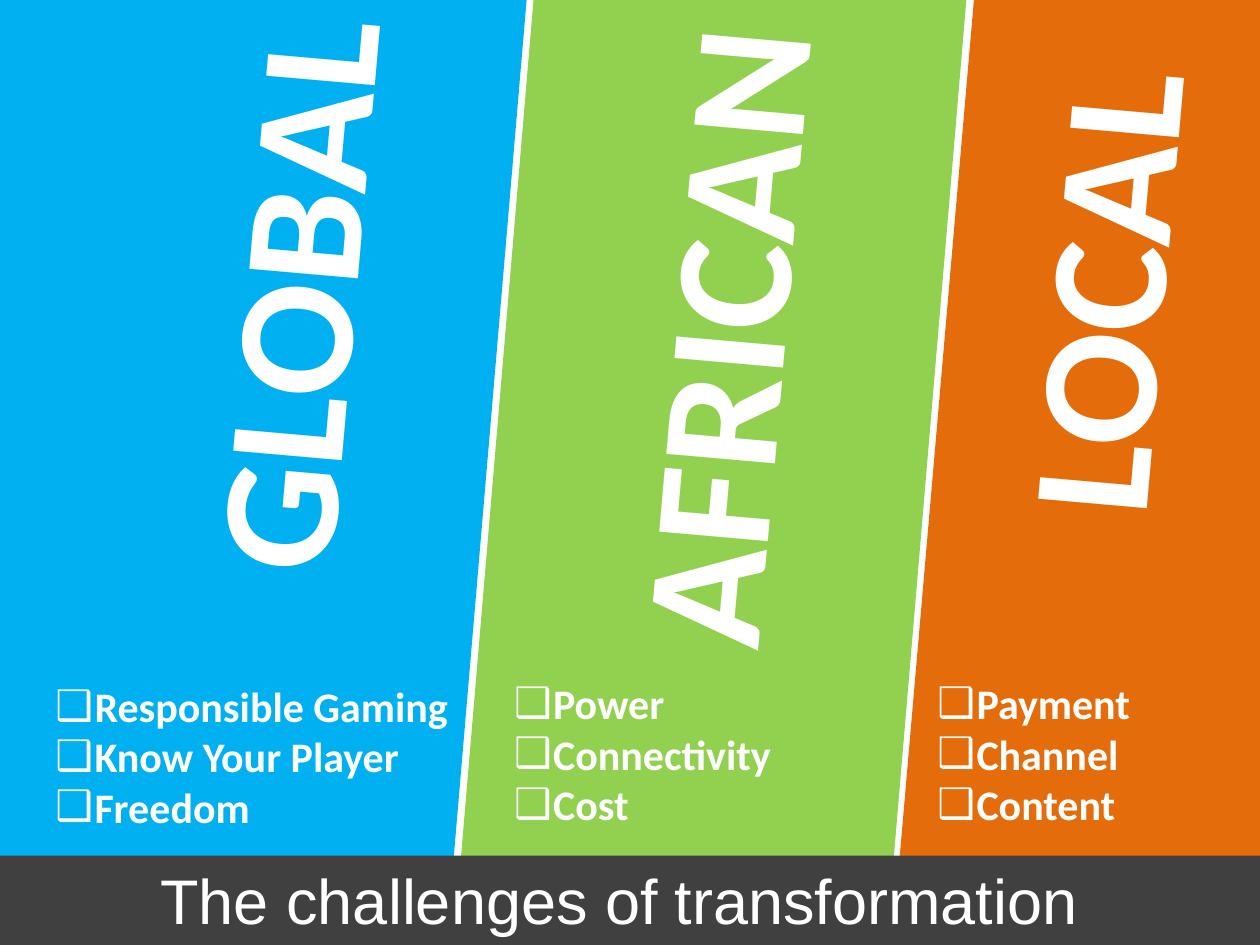
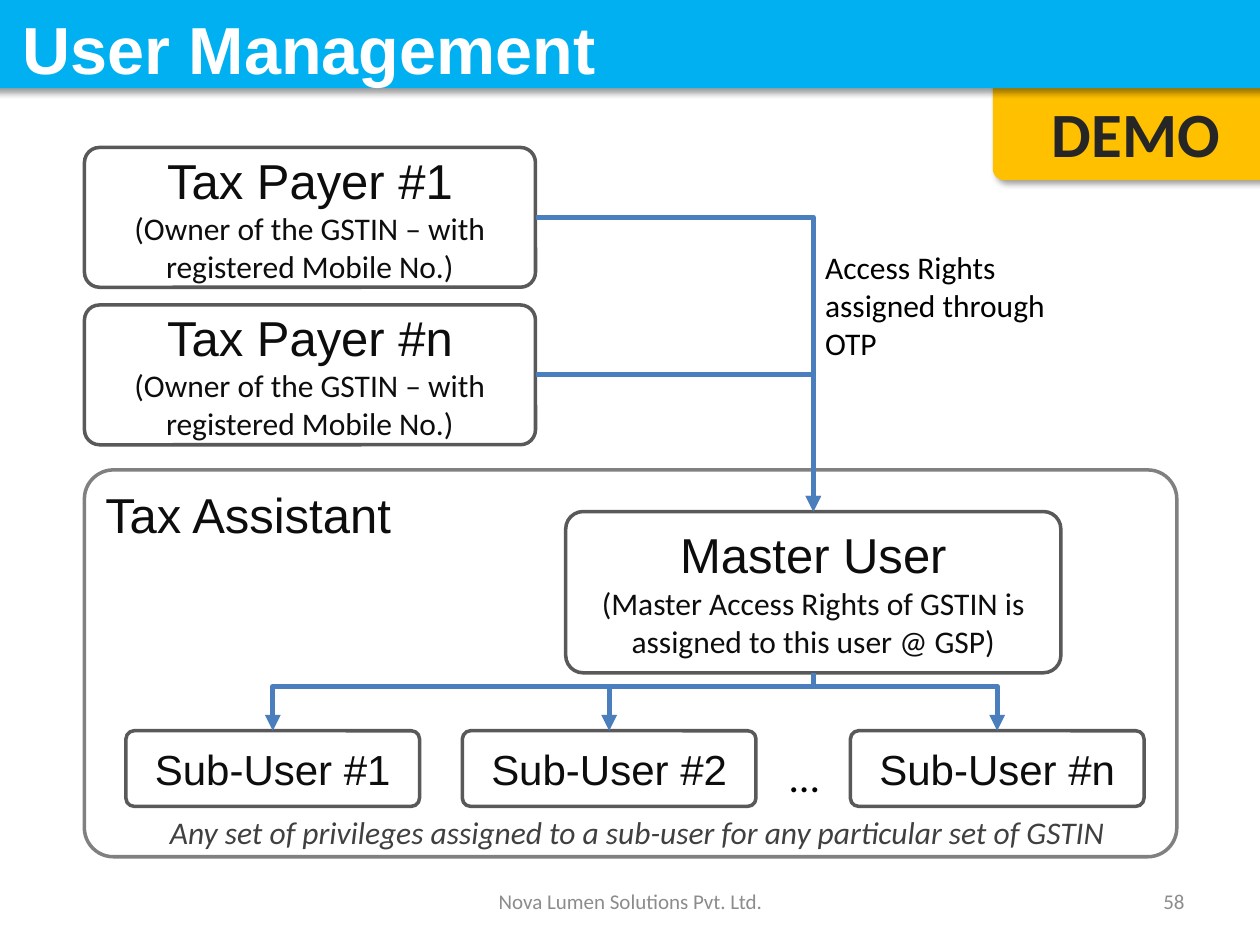
from lxml.etree import SubElement
from pptx import Presentation
from pptx.dml.color import RGBColor
from pptx.enum.shapes import MSO_CONNECTOR, MSO_SHAPE
from pptx.enum.text import MSO_ANCHOR, MSO_AUTO_SIZE, PP_ALIGN
from pptx.oxml.ns import qn
from pptx.util import Inches, Pt

BLUE = RGBColor(0x00, 0xB0, 0xF0)
GREEN = RGBColor(0x92, 0xD0, 0x50)
ORANGE = RGBColor(0xE4, 0x6C, 0x0A)
AMBER = RGBColor(0xFF, 0xC0, 0x00)
WHITE = RGBColor(0xFF, 0xFF, 0xFF)
BLACK = RGBColor(0x00, 0x00, 0x00)
INK = RGBColor(0x0D, 0x0D, 0x0D)
CHARCOAL = RGBColor(0x26, 0x26, 0x26)
DARK = RGBColor(0x40, 0x40, 0x40)
BORDER = RGBColor(0x59, 0x59, 0x59)
FRAME = RGBColor(0x80, 0x80, 0x80)
MUTED = RGBColor(0x8C, 0x8C, 0x8C)
LINK = RGBColor(0x4B, 0x7E, 0xBC)

HEADING, BODY = "Arial", "Calibri"
CORNER = 0.108
COMPARISON, TITLE_ONLY = 4, 5


class Painter:
    """Holds the deck style and draws each kind of element on the current page."""

    def __init__(self):
        self.deck = Presentation()
        self.deck.slide_width, self.deck.slide_height = Inches(10), Inches(7.5)
        self.page = None

    def new_page(self, layout):
        self.page = self.deck.slides.add_slide(self.deck.slide_layouts[layout])

    def fill_text(self, frame, lines, color, align=PP_ALIGN.LEFT, anchor=MSO_ANCHOR.TOP,
                  bold=False, italic=False, wrap=True, bullet=None):
        frame.text = "\n".join(text for text, size, font in lines)
        frame.word_wrap = wrap
        frame.auto_size = MSO_AUTO_SIZE.NONE
        frame.vertical_anchor = anchor
        for para, (text, size, font) in zip(frame.paragraphs, lines):
            para.alignment = align
            para.space_before = Pt(0)
            if bullet:
                properties = para._p.get_or_add_pPr()
                properties.set("marL", str(Inches(0.31)))
                properties.set("indent", str(-Inches(0.31)))
                SubElement(properties, qn("a:buChar"), char=bullet)
            for span in para.runs:
                span.font.name, span.font.size = font, Pt(size)
                span.font.bold, span.font.italic = bold, italic
                span.font.color.rgb = color

    def place(self, box, area):
        box.left, box.top, box.width, box.height = [Inches(side) for side in area]

    def placeholder(self, box, area, lines, color, **style):
        self.place(box, area)
        box.element.getparent().append(box.element)
        self.fill_text(box.text_frame, lines, color, **style)

    def title(self, text, area, size, **style):
        self.placeholder(self.page.shapes.title, area, [(text, size, HEADING)], WHITE, **style)

    def text(self, area, lines, color, rotation=0, **style):
        box = self.page.shapes.add_textbox(*[Inches(side) for side in area])
        box.rotation = rotation
        self.fill_text(box.text_frame, lines, color, **style)

    def shape(self, kind, area, fill, adjust=None, line=None, shadow_angle=None):
        shape = self.page.shapes.add_shape(kind, *[Inches(side) for side in area])
        if adjust is not None:
            shape.adjustments[0] = adjust
        shape.fill.solid()
        shape.fill.fore_color.rgb = fill
        if line is None:
            shape.line.fill.background()
        else:
            shape.line.color.rgb, shape.line.width = line, Pt(2)
        shape.shadow.inherit = False
        if shadow_angle is not None:
            effects = shape.element.spPr.find(qn("a:effectLst"))
            shadow = SubElement(effects, qn("a:outerShdw"), blurRad=str(Pt(4)), dist=str(Pt(3)),
                                dir=str(shadow_angle * 60000), algn="tl", rotWithShape="0")
            tint = SubElement(shadow, qn("a:srgbClr"), val=str(BLACK))
            SubElement(tint, qn("a:alpha"), val="40000")
        return shape

    def card(self, area, lines):
        card = self.shape(MSO_SHAPE.ROUNDED_RECTANGLE, area, WHITE, CORNER, BORDER)
        self.fill_text(card.text_frame, lines, INK, align=PP_ALIGN.CENTER,
                       anchor=MSO_ANCHOR.MIDDLE)
        return card

    def elbow(self, source, source_side, target):
        link = self.page.shapes.add_connector(MSO_CONNECTOR.ELBOW, 0, 0, 0, 0)
        link.begin_connect(source, source_side)
        link.end_connect(target, 0)
        link.line.color.rgb, link.line.width = LINK, Pt(3)
        SubElement(link.element.spPr.find(qn("a:ln")), qn("a:tailEnd"), type="triangle")
        SubElement(link.element.spPr, qn("a:effectLst"))
        return link

    def elbow_across(self, source, target):
        link = self.elbow(source, 3, target)
        link.element.spPr.find(qn("a:prstGeom")).set("prst", "bentConnector2")

    def elbow_down(self, source, target):
        link = self.elbow(source, 2, target)
        start, end = link.begin_x, link.end_x
        middle_x, middle_y = (start + end) // 2, (link.begin_y + link.end_y) // 2
        drop, reach = link.end_y - link.begin_y, abs(end - start)
        frame = link.element.spPr.find(qn("a:xfrm"))
        frame.attrib.clear()
        frame.set("rot", str((90 if end < start else 270) * 60000))
        if end > start:
            frame.set("flipH", "1")
        link.left, link.top = middle_x - drop // 2, middle_y - reach // 2
        link.width, link.height = drop, reach
        geometry = link.element.spPr.find(qn("a:prstGeom"))
        guides = geometry.find(qn("a:avLst"))
        if guides is None:
            guides = SubElement(geometry, qn("a:avLst"))
        SubElement(guides, qn("a:gd"), name="adj1", fmla="val 24000")


def challenges(painter):
    painter.new_page(COMPARISON)
    panels = [
        (BLUE, (-0.65, 0, 4.83, 7.5), 0.132, "GLOBAL", (-0.01, 1.45, 4.64, 1.72),
         (0.34, 5.35, 3.35, 1.31), ["Responsible Gaming", "Know Your Player", "Freedom"]),
        (GREEN, (3.6, 0, 4.07, 7.5), 0.156, "AFRICAN", (3.13, 1.79, 5.17, 1.72),
         (3.98, 5.33, 2.27, 1.31), ["Power", "Connectivity", "Cost"]),
        (ORANGE, (7.08, 0, 4.42, 7.5), 0.147, "LOCAL", (6.85, 1.43, 3.76, 1.72),
         (7.34, 5.33, 1.82, 1.31), ["Payment", "Channel", "Content"]),
    ]
    title, *lists, spare = list(painter.page.placeholders)
    spare.element.getparent().remove(spare.element)
    for body, (color, area, slant, word, word_area, list_area, items) in zip(lists, panels):
        painter.shape(MSO_SHAPE.PARALLELOGRAM, area, color, slant)
        painter.text(word_area, [(word, 96, BODY)], WHITE, rotation=275, bold=True, wrap=False)
        painter.placeholder(body, list_area, [(item, 24, BODY) for item in items], WHITE,
                            bold=True, wrap=False, bullet="❑")
    painter.shape(MSO_SHAPE.RECTANGLE, (-1.08, 6.79, 12.25, 0.71), DARK)
    painter.title("The challenges of transformation", (0.04, 6.79, 9.75, 0.71), 36,
                  align=PP_ALIGN.CENTER)


def user_management(painter):
    painter.new_page(TITLE_ONLY)
    rounded = MSO_SHAPE.ROUNDED_RECTANGLE
    demo = painter.shape(rounded, (7.88, 0.6, 2.27, 0.83), AMBER, CORNER, shadow_angle=45)
    painter.fill_text(demo.text_frame, [("DEMO", 36, BODY)], CHARCOAL, align=PP_ALIGN.CENTER,
                      anchor=MSO_ANCHOR.BOTTOM, bold=True)
    painter.shape(rounded, (-0.42, -0.19, 10.72, 0.89), BLUE, shadow_angle=135)
    painter.title("User Management", (0.08, 0.01, 9.83, 0.74), 38, bold=True)

    assistant = painter.shape(rounded, (0.67, 3.73, 8.67, 3.07), WHITE, 0.075, FRAME)
    painter.fill_text(assistant.text_frame, [("Tax Assistant", 28, HEADING)], INK)
    master = painter.card((4.49, 4.06, 3.93, 1.28), [
        ("Master User", 28, HEADING),
        ("(Master Access Rights of GSTIN is assigned to this user @ GSP)", 18, BODY)])
    for number, left in [("1", 1), ("2", 3.67), ("n", 6.75)]:
        user = painter.card((left, 5.8, 2.33, 0.6), [(f"Sub-User #{number}", 24, HEADING)])
        painter.elbow_down(master, user)
    for number, top in [("1", 1.17), ("n", 2.42)]:
        payer = painter.card((0.67, top, 3.58, 1.11), [
            (f"Tax Payer #{number}", 28, HEADING),
            ("(Owner of the GSTIN – with registered Mobile No.)", 18, BODY)])
        painter.elbow_across(payer, master)

    painter.text((6.45, 1.92, 1.96, 1.01),
                 [("Access Rights assigned through OTP", 18, BODY)], BLACK)
    painter.text((6.17, 5.91, 0.44, 0.5), [("…", 24, BODY)], BLACK, wrap=False)
    painter.text((1.25, 6.4, 7.73, 0.4),
                 [("Any set of privileges assigned to a sub-user for any particular set of GSTIN",
                   18, BODY)], DARK, italic=True, wrap=False)
    painter.text((3.42, 6.95, 3.17, 0.4), [("Nova Lumen Solutions Pvt. Ltd.", 12, BODY)], MUTED,
                 align=PP_ALIGN.CENTER, anchor=MSO_ANCHOR.MIDDLE)
    painter.text((7.17, 6.95, 2.33, 0.4), [("58", 12, BODY)], MUTED,
                 align=PP_ALIGN.RIGHT, anchor=MSO_ANCHOR.MIDDLE)


def main():
    painter = Painter()
    challenges(painter)
    user_management(painter)
    painter.deck.save("out.pptx")


if __name__ == "__main__":
    main()
